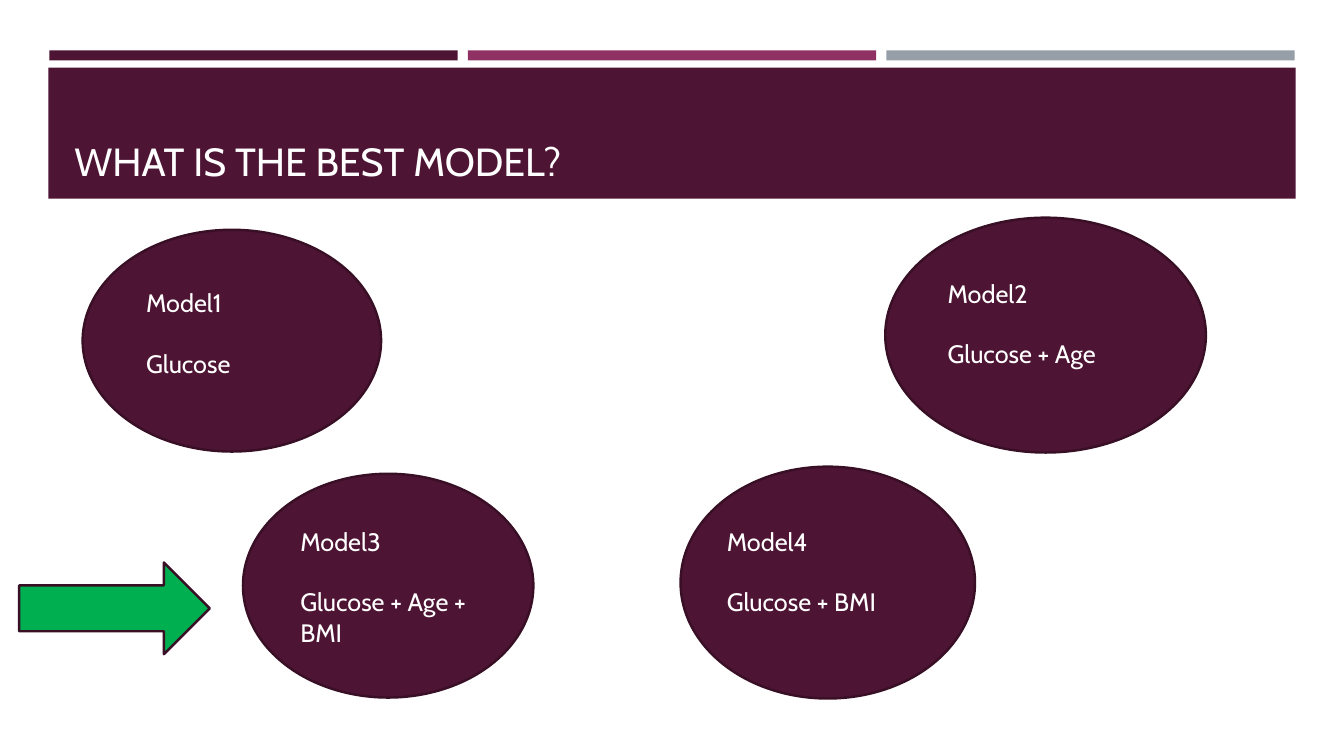
"""Build the slide that compares four candidate models."""
from pptx import Presentation
from pptx.dml.color import RGBColor
from pptx.enum.shapes import MSO_SHAPE
from pptx.enum.text import MSO_ANCHOR
from pptx.util import Inches, Pt

PLUM, EDGE, WHITE, GREEN = "4D1434", "390F26", "FFFFFF", "00B050"
TITLE = "WHAT IS THE BEST MODEL?"
TITLE_AREA = (0.64, 0.77, 12.06, 1.11)
BANNER = (0.48, 0.67, 12.37, 1.3)
ARROW = (0.19, 5.58, 1.89, 0.91)
STRIPES = [PLUM, "903163", "969FA7"]
STRIPE_LEFT, STRIPE_TOP, STRIPE_WIDTH, STRIPE_HEIGHT, STRIPE_STEP = 0.49, 0.5, 4.05, 0.1, 4.15
MODELS = [
    ("Model1", "Glucose", (0.82, 2.28, 2.96, 2.2), (1.35, 2.8, 1.79, 1.01)),
    ("Model2", "Glucose + Age", (8.78, 2.16, 3.18, 2.33), (9.3, 2.71, 2.17, 1.01)),
    ("Model3", "Glucose + Age + BMI", (2.41, 4.7, 2.88, 2.22), (2.88, 5.17, 1.94, 1.31)),
    ("Model4", "Glucose + BMI", (6.75, 4.63, 2.92, 2.3), (7.11, 5.17, 2.22, 1.01)),
]


def color(value):
    return RGBColor.from_string(value)


def add_figure(page, kind, area, fill, line=None):
    figure = page.shapes.add_shape(kind, *map(Inches, area))
    figure.shadow.inherit = False
    figure.fill.solid()
    figure.fill.fore_color.rgb = color(fill)
    if line:
        figure.line.color.rgb = color(line)
        figure.line.width = Pt(1.75)
    else:
        figure.line.fill.background()


def add_text(page, area, lines, size, anchor=MSO_ANCHOR.TOP, gap=0):
    frame = page.shapes.add_textbox(*map(Inches, area)).text_frame
    for name, value in {"word_wrap": True, "vertical_anchor": anchor}.items():
        setattr(frame, name, value)
    for index, line in enumerate(lines):
        para = frame.add_paragraph() if index else frame.paragraphs[0]
        para.space_before = Pt(gap if index else 0)
        span = para.add_run()
        span.text = line
        for name, value in {"name": "Cabin", "size": Pt(size)}.items():
            setattr(span.font, name, value)
        span.font.color.rgb = color(WHITE)


deck = Presentation()
deck.slide_width, deck.slide_height = Inches(13.33), Inches(7.5)
page = deck.slides.add_slide(deck.slide_layouts[6])

for index, fill in enumerate(STRIPES):
    left = STRIPE_LEFT + index * STRIPE_STEP
    add_figure(page, MSO_SHAPE.RECTANGLE, (left, STRIPE_TOP, STRIPE_WIDTH, STRIPE_HEIGHT), fill)
add_figure(page, MSO_SHAPE.RECTANGLE, BANNER, PLUM)
add_text(page, TITLE_AREA, [TITLE], 28, MSO_ANCHOR.BOTTOM)

for name, terms, ellipse, label in MODELS:
    add_figure(page, MSO_SHAPE.OVAL, ellipse, PLUM, EDGE)
    add_text(page, label, [name, terms], 18, gap=21.7)
add_figure(page, MSO_SHAPE.RIGHT_ARROW, ARROW, GREEN, EDGE)

deck.save("out.pptx")
